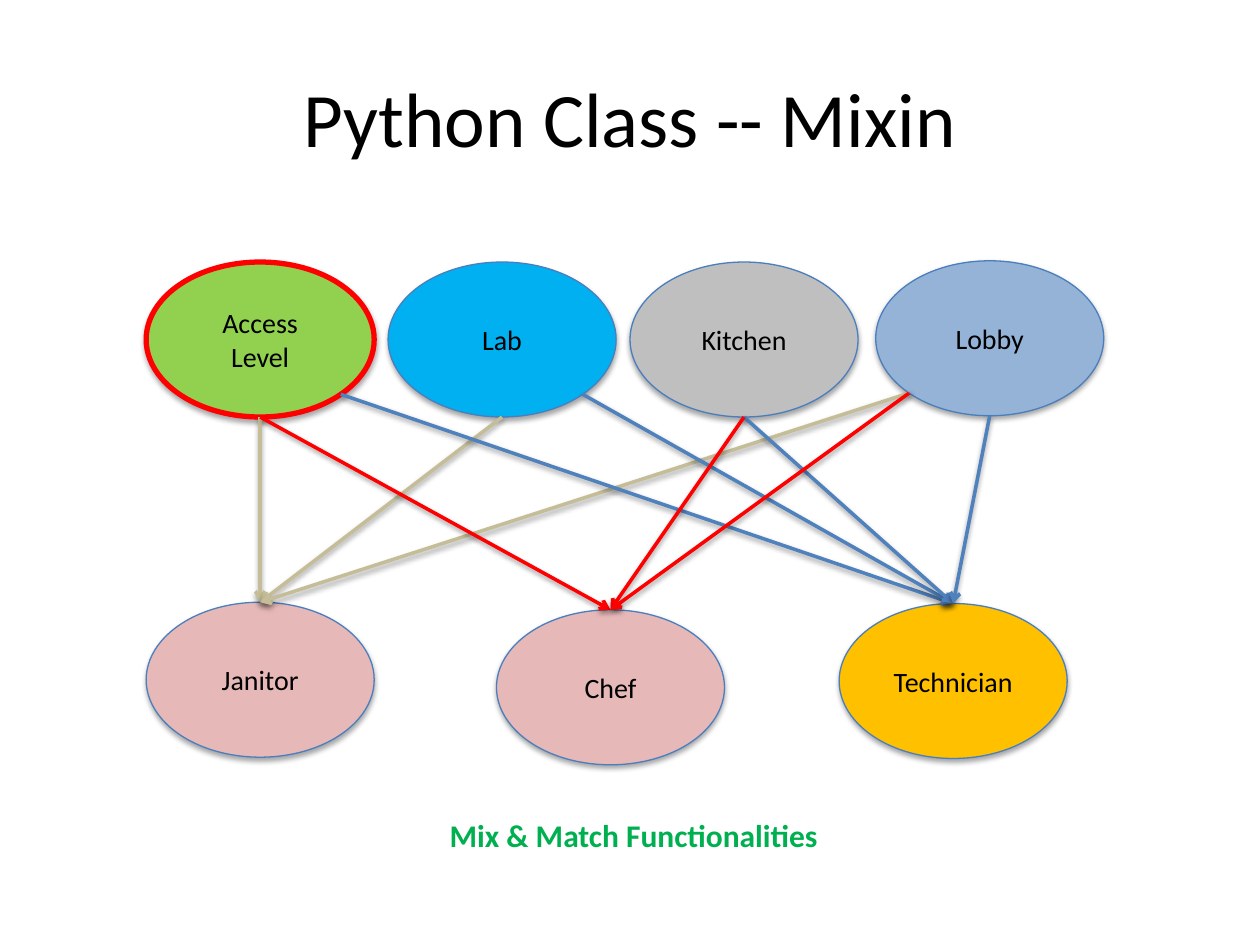
from math import sqrt

from lxml.etree import SubElement
from pptx import Presentation
from pptx.dml.color import RGBColor
from pptx.enum.shapes import MSO_CONNECTOR, MSO_SHAPE
from pptx.enum.text import MSO_ANCHOR, PP_ALIGN
from pptx.oxml.ns import qn
from pptx.util import Inches, Pt

COLORS = {
    "text": "000000", "caption": "00B050", "outline": "4B7EBC", "red": "FF0000",
    "green": "92D050", "cyan": "00B0F0", "gray": "BFBFBF", "periwinkle": "95B3D7",
    "pink": "E6B9B8", "gold": "FFC000", "tan": "C4BD97", "blue": "4F81BD",
}
OVAL_W, OVAL_H = 1.81, 1.23

# Mixin name: left, top, fill, outline colour, outline width
MIXINS = {
    "Access\nLevel": (1.16, 2.08, "green", "red", 3),
    "Lab": (3.08, 2.08, "cyan", "outline", 0.75),
    "Kitchen": (5, 2.08, "gray", "outline", 0.75),
    "Lobby": (6.95, 2.07, "periwinkle", "outline", 0.75),
}
# Role: left, top, fill, arrow colour, (mixin, side the arrow leaves from)
ROLES = {
    "Janitor": (1.16, 4.78, "pink", "tan",
                [("Access\nLevel", 0), ("Lab", 0), ("Lobby", -1)]),
    "Technician": (6.66, 4.79, "gold", "blue",
                   [("Access\nLevel", 1), ("Lab", 1), ("Kitchen", 0), ("Lobby", 0)]),
    "Chef": (3.94, 4.84, "pink", "red",
             [("Access\nLevel", 0), ("Kitchen", 0), ("Lobby", -1)]),
}


def rgb(name):
    return RGBColor.from_string(COLORS[name])


def write_text(tf, text, size=16, color="text", bold=False, align=PP_ALIGN.CENTER):
    for i, line in enumerate(text.split("\n")):
        p = tf.paragraphs[0] if i == 0 else tf.add_paragraph()
        p.alignment = align
        r = p.add_run()
        r.text = line
        r.font.name = "Calibri"
        r.font.size = Pt(size)
        r.font.bold = bold
        r.font.color.rgb = rgb(color)


def add_shadow(sp, distance, opacity):
    """Soft shadow below a shape or connector; call after its line is set."""
    sp_pr = sp._element.spPr
    effects = sp_pr.find(qn("a:effectLst"))
    if effects is None:
        effects = SubElement(sp_pr, qn("a:effectLst"))
    shadow = SubElement(effects, qn("a:outerShdw"), blurRad=str(Pt(3.1)),
                        dist=str(Pt(distance)), dir="5400000", rotWithShape="0")
    color = SubElement(shadow, qn("a:srgbClr"), val="000000")
    SubElement(color, qn("a:alpha"), val=str(opacity * 1000))


def add_oval(s, text, left, top, fill, outline="outline", width=0.75):
    sp = s.shapes.add_shape(MSO_SHAPE.OVAL, Inches(left), Inches(top),
                            Inches(OVAL_W), Inches(OVAL_H))
    sp.fill.solid()
    sp.fill.fore_color.rgb = rgb(fill)
    sp.line.color.rgb = rgb(outline)
    sp.line.width = Pt(width)
    sp.shadow.inherit = False
    add_shadow(sp, 1.8, 35)
    sp.text_frame.vertical_anchor = MSO_ANCHOR.MIDDLE
    write_text(sp.text_frame, text)
    return sp


def add_arrow(s, mixin, side, role, color):
    """Arrow from a mixin's bottom (0) or lower left/right (-1/1) to a role's top."""
    drop = 1 / sqrt(2) if side else 1
    x = mixin.left + mixin.width / 2 * (1 + side * drop)
    y = mixin.top + mixin.height / 2 * (1 + drop)
    c = s.shapes.add_connector(MSO_CONNECTOR.STRAIGHT, int(x), int(y),
                               role.left + role.width // 2, role.top)
    c.end_connect(role, 0)
    c.line.color.rgb = rgb(color)
    c.line.width = Pt(2)
    SubElement(c.line._get_or_add_ln(), qn("a:tailEnd"), type="arrow")
    add_shadow(c, 1.6, 38)


def add_title(s, left, top, width, height):
    sp = s.shapes.title
    sp.left, sp.top, sp.width, sp.height = map(Inches, (left, top, width, height))
    sp.text_frame.vertical_anchor = MSO_ANCHOR.MIDDLE
    write_text(sp.text_frame, "Python Class -- Mixin", size=44)


def add_caption(s, left, top, width, height):
    sp = s.shapes.add_textbox(*map(Inches, (left, top, width, height)))
    sp.text_frame.word_wrap = False
    write_text(sp.text_frame, "Mix & Match Functionalities", size=18,
               color="caption", bold=True, align=PP_ALIGN.LEFT)


def add_diagram(s):
    # Mixins in the upper row
    mixins = {name: add_oval(s, name, *style) for name, style in MIXINS.items()}
    # Roles in the lower row, each with the arrows that reach it
    for name, (left, top, fill, color, sources) in ROLES.items():
        role = add_oval(s, name, left, top, fill)
        for mixin, side in sources:
            add_arrow(s, mixins[mixin], side, role, color)


def main():
    prs = Presentation()
    prs.slide_width, prs.slide_height = Inches(10), Inches(7.5)
    s = prs.slides.add_slide(prs.slide_layouts[5])
    add_title(s, 0.5, 0.3, 9, 1.25)
    add_caption(s, 3.47, 6.43, 3.15, 0.4)
    add_diagram(s)
    prs.save("out.pptx")


if __name__ == "__main__":
    main()
